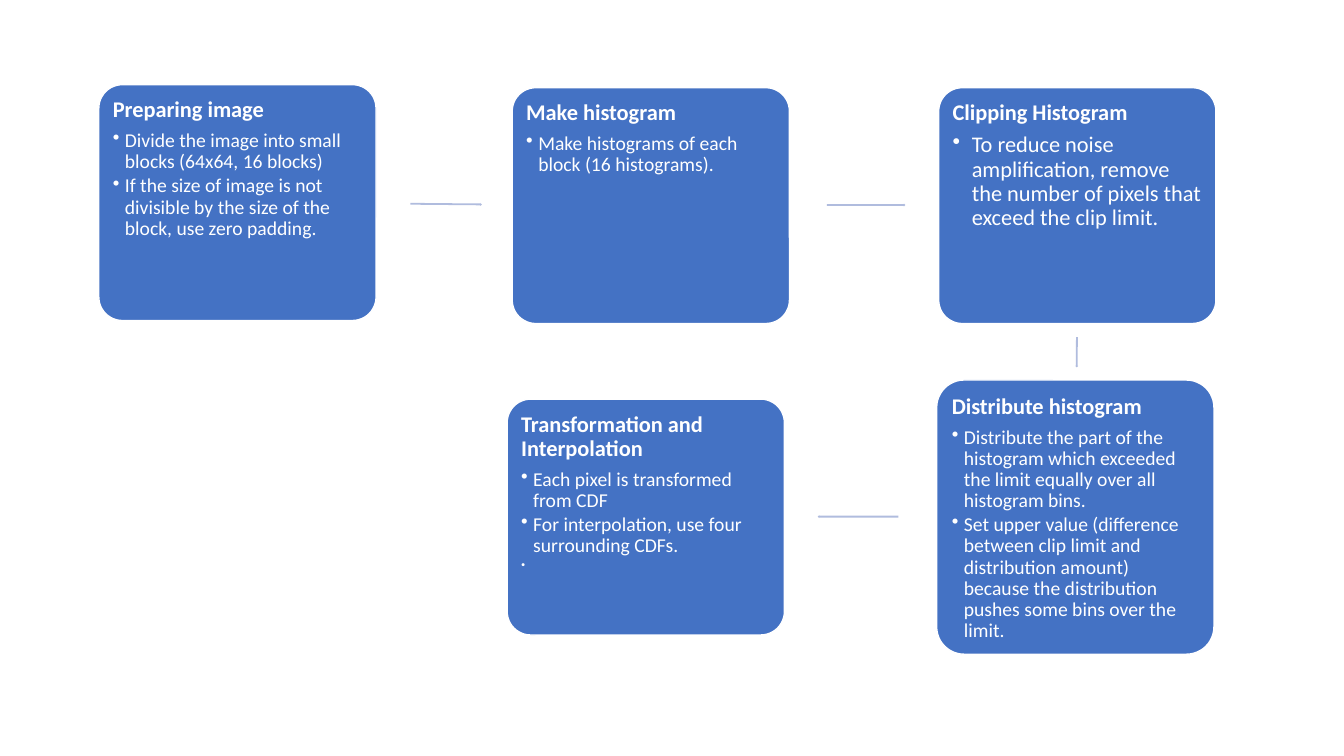
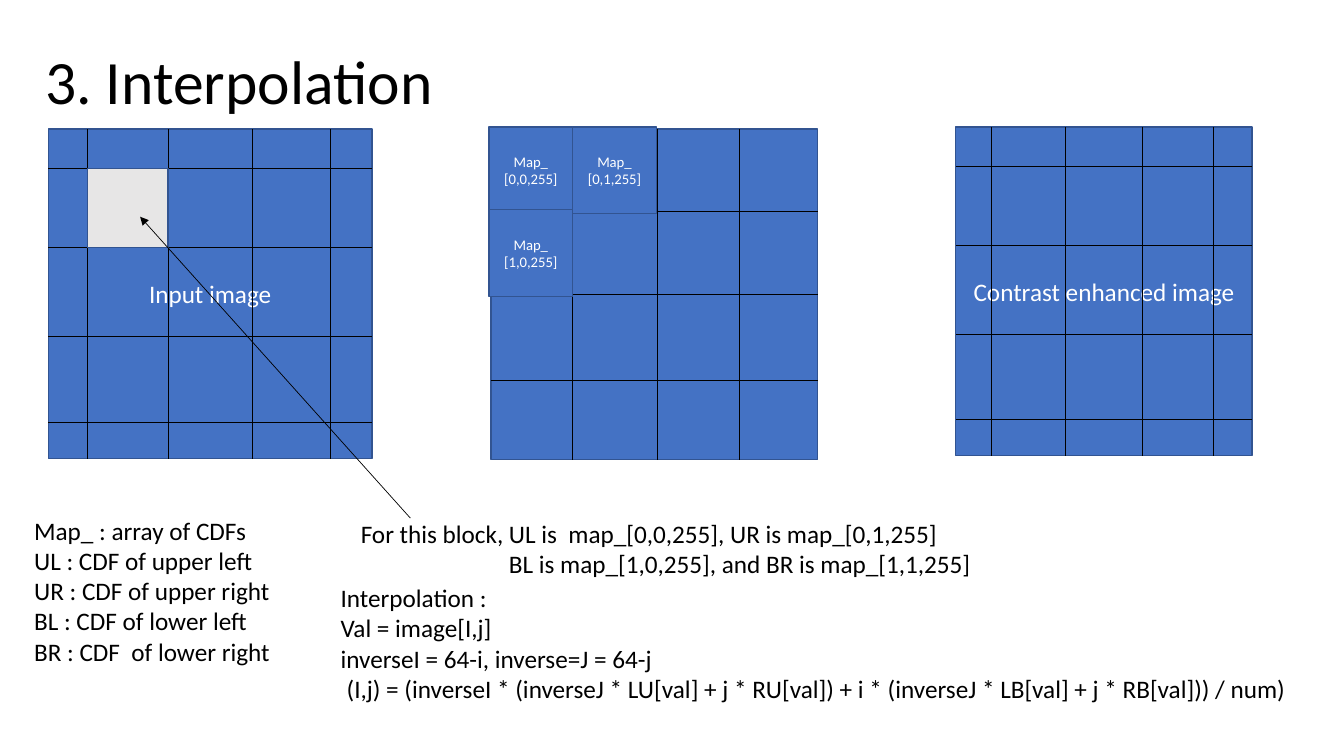
from collections import namedtuple

from lxml import etree
from pptx import Presentation
from pptx import util as u
from pptx.dml.color import RGBColor
from pptx.enum import shapes, text
from pptx.oxml import ns

BLUE = RGBColor(0x44, 0x72, 0xC4)
NAVY = RGBColor(0x32, 0x54, 0x91)
PALE_BLUE = RGBColor(0xB0, 0xBC, 0xDE)
GRAY = RGBColor(0xE7, 0xE6, 0xE6)
WHITE = RGBColor(0xFF, 0xFF, 0xFF)
BLACK = RGBColor(0, 0, 0)
FONT = "Calibri"

Box = namedtuple("Box", "left top width height")
Step = namedtuple("Step", "box title bullets size indent", defaults=(14, 0.12))

STEPS = [
    Step(Box(0.98, 0.84, 2.75, 2.34), "Preparing image", [
        "Divide the image into small blocks (64x64, 16 blocks)",
        "If the size of image is not divisible by the size of the block, use zero padding.",
    ]),
    Step(Box(5.08, 0.87, 2.75, 2.34), "Make histogram", [
        "Make histograms of each block (16 histograms).",
    ]),
    Step(Box(9.31, 0.87, 2.75, 2.34), "Clipping Histogram", [
        "To reduce noise amplification, remove the number of pixels that exceed the clip limit.",
    ], 16, 0.19),
    Step(Box(9.29, 3.77, 2.75, 2.72), "Distribute histogram", [
        "Distribute the part of the histogram which exceeded the limit equally over all histogram bins.",
        "Set upper value (difference between clip limit and distribution amount) because "
        "the distribution pushes some bins over the limit.",
    ]),
    Step(Box(5.03, 3.96, 2.75, 2.34), "Transformation and Interpolation", [
        "Each pixel is transformed from CDF",
        "For interpolation, use four surrounding CDFs.",
    ]),
]
ARROWS = [
    (Box(4.07, 2.01, 0.71, 0.03), 0.5),
    (Box(8.2, 2.02, 0.78, 0.03), 0),
    (Box(10.53, 3.48, 0.3, 0.03), 90.3),
    (Box(8.11, 5.11, 0.8, 0.03), 180),
]

IMAGE_COLUMNS = [0.12, 0.37, 0.63, 0.87]
IMAGE_ROWS = [0.12, 0.36, 0.63, 0.89]
MAP_COLUMNS = [0.25, 0.51, 0.76]
MAP_ROWS = [0.25, 0.5, 0.76]


def inches(box):
    return [u.Inches(length) for length in box]


def write(para, words, size=18, color=BLACK, bold=False, align=None,
          spacing=None, after=None, indent=0, bullet=False):
    span = para.add_run()
    span.text = words
    span.font.name = FONT
    span.font.size = u.Pt(size)
    span.font.bold = bold
    span.font.color.rgb = color
    para.alignment = align
    para.line_spacing = spacing
    if after is not None:
        para.space_after = u.Pt(after)
    props = para._p.get_or_add_pPr()
    if indent:
        props.set("marL", str(u.Inches(indent)))
    if bullet:
        props.set("indent", str(-u.Inches(indent)))
        etree.SubElement(props, ns.qn("a:buChar")).set("char", "•")


def next_para(frame):
    first = frame.paragraphs[0]
    return frame.add_paragraph() if first.runs else first


def add_panel(page, kind, box, fill, line=None):
    panel = page.shapes.add_shape(kind, *inches(box))
    panel.shadow.inherit = False
    panel.fill.solid()
    panel.fill.fore_color.rgb = fill
    if line is None:
        panel.line.fill.background()
    else:
        panel.line.color.rgb = line
        panel.line.width = u.Pt(1)
    return panel


def add_tile(page, box, lines=(), size=18, fill=BLUE):
    tile = add_panel(page, shapes.MSO_SHAPE.RECTANGLE, box, fill, NAVY)
    frame = tile.text_frame
    frame.word_wrap = True
    frame.vertical_anchor = text.MSO_ANCHOR.MIDDLE
    for words in lines:
        write(next_para(frame), words, size=size, color=WHITE, align=text.PP_ALIGN.CENTER)


def add_line(page, start, end, arrow=False):
    line = page.shapes.add_connector(shapes.MSO_CONNECTOR.STRAIGHT, *inches(start + end))
    line.line.color.rgb = BLACK
    line.line.width = u.Pt(0.5)
    if arrow:
        etree.SubElement(line.line._get_or_add_ln(), ns.qn("a:tailEnd")).set("type", "triangle")
    etree.SubElement(line._element.spPr, ns.qn("a:effectLst"))


def add_grid(page, box, columns, rows, lines=()):
    add_tile(page, box, lines)
    right, bottom = box.left + box.width, box.top + box.height
    for share in rows:
        y = box.top + share * box.height
        add_line(page, (box.left, y), (right, y))
    for share in columns:
        x = box.left + share * box.width
        add_line(page, (x, box.top), (x, bottom))


def add_note(page, box, lines):
    note = page.shapes.add_textbox(*inches(box))
    frame = note.text_frame
    frame.word_wrap = True
    for words, indent in lines:
        write(next_para(frame), words, indent=indent)


def add_title(page, box, words):
    title = page.shapes.title
    title.left, title.top, title.width, title.height = inches(box)
    title.text_frame.vertical_anchor = text.MSO_ANCHOR.MIDDLE
    write(title.text_frame.paragraphs[0], words, size=44,
          align=text.PP_ALIGN.LEFT, spacing=0.9)


def add_step(page, step):
    card = add_panel(page, shapes.MSO_SHAPE.ROUNDED_RECTANGLE, step.box, BLUE, WHITE)
    card.adjustments[0] = 0.1
    frame = card.text_frame
    frame.word_wrap = True
    frame.vertical_anchor = text.MSO_ANCHOR.TOP
    frame.margin_left = frame.margin_right = u.Inches(0.07)
    frame.margin_top = frame.margin_bottom = u.Inches(0.07)
    shared = dict(color=WHITE, align=text.PP_ALIGN.LEFT, spacing=0.9)
    write(next_para(frame), step.title, size=16, bold=True, after=5.6, **shared)
    for words in step.bullets:
        write(next_para(frame), words, size=step.size, after=2.1,
              indent=step.indent, bullet=True, **shared)
    return frame


def build_process(deck):
    page = deck.slides.add_slide(deck.slide_layouts[6])
    for step in STEPS:
        frame = add_step(page, step)
    write(next_para(frame), "•", size=6, color=WHITE, align=text.PP_ALIGN.LEFT, spacing=0.9)
    for box, angle in ARROWS:
        arrow = add_panel(page, shapes.MSO_SHAPE.RIGHT_ARROW, box, PALE_BLUE)
        arrow.adjustments[0] = 0.6
        arrow.rotation = angle


def add_input_image(page, box):
    add_grid(page, box, IMAGE_COLUMNS, IMAGE_ROWS, ["Input image"])
    (x0, x1), (y0, y1) = IMAGE_COLUMNS[:2], IMAGE_ROWS[:2]
    block = Box(box.left + x0 * box.width, box.top + y0 * box.height,
                (x1 - x0) * box.width, (y1 - y0) * box.height)
    add_tile(page, block, fill=GRAY)


def add_map(page, box):
    add_grid(page, box, MAP_COLUMNS, MAP_ROWS)
    for row, column in [(0, 0), (0, 1), (1, 0)]:
        cell = Box(box.left - 0.02 + column * 0.83, box.top - 0.02 + row * 0.82, 0.83, 0.86)
        add_tile(page, cell, ["Map_", f"[{row},{column},255]"], size=10.5)


def build_interpolation(deck):
    page = deck.slides.add_slide(deck.slide_layouts[5])
    add_title(page, Box(0.35, 0.11, 11.5, 1.45), "3. Interpolation")
    add_note(page, Box(0.24, 5.06, 3.27, 1.62), [
        ("Map_ : array of CDFs", 0),
        ("UL : CDF of upper left", 0),
        ("UR : CDF of upper right", 0),
        ("BL : CDF of lower left", 0),
        ("BR : CDF  of lower right", 0),
    ])
    add_grid(page, Box(9.48, 1.26, 2.94, 3.26), IMAGE_COLUMNS, IMAGE_ROWS,
             ["Contrast enhanced image"])
    add_map(page, Box(4.87, 1.28, 3.24, 3.28))
    add_input_image(page, Box(0.48, 1.28, 3.21, 3.27))
    add_note(page, Box(3.48, 5.09, 6.36, 0.71), [
        ("For this block, UL is  map_[0,0,255], UR is map_[0,1,255]", 0),
        ("BL is map_[1,0,255], and BR is map_[1,1,255]", 1.47),
    ])
    add_line(page, (4.07, 5.14), (1.39, 2.15), arrow=True)
    add_note(page, Box(3.28, 5.73, 9.68, 1.31), [
        ("Interpolation :", 0),
        ("Val = image[I,j]", 0),
        ("inverseI = 64-i, inverse=J = 64-j", 0),
        ("(I,j) = (inverseI * (inverseJ * LU[val] + j * RU[val]) + i * "
         "(inverseJ * LB[val] + j * RB[val])) / num)", 0.06),
    ])


def main():
    deck = Presentation()
    deck.slide_width = u.Inches(13.33)
    deck.slide_height = u.Inches(7.5)
    build_process(deck)
    build_interpolation(deck)
    deck.save("out.pptx")


if __name__ == "__main__":
    main()
